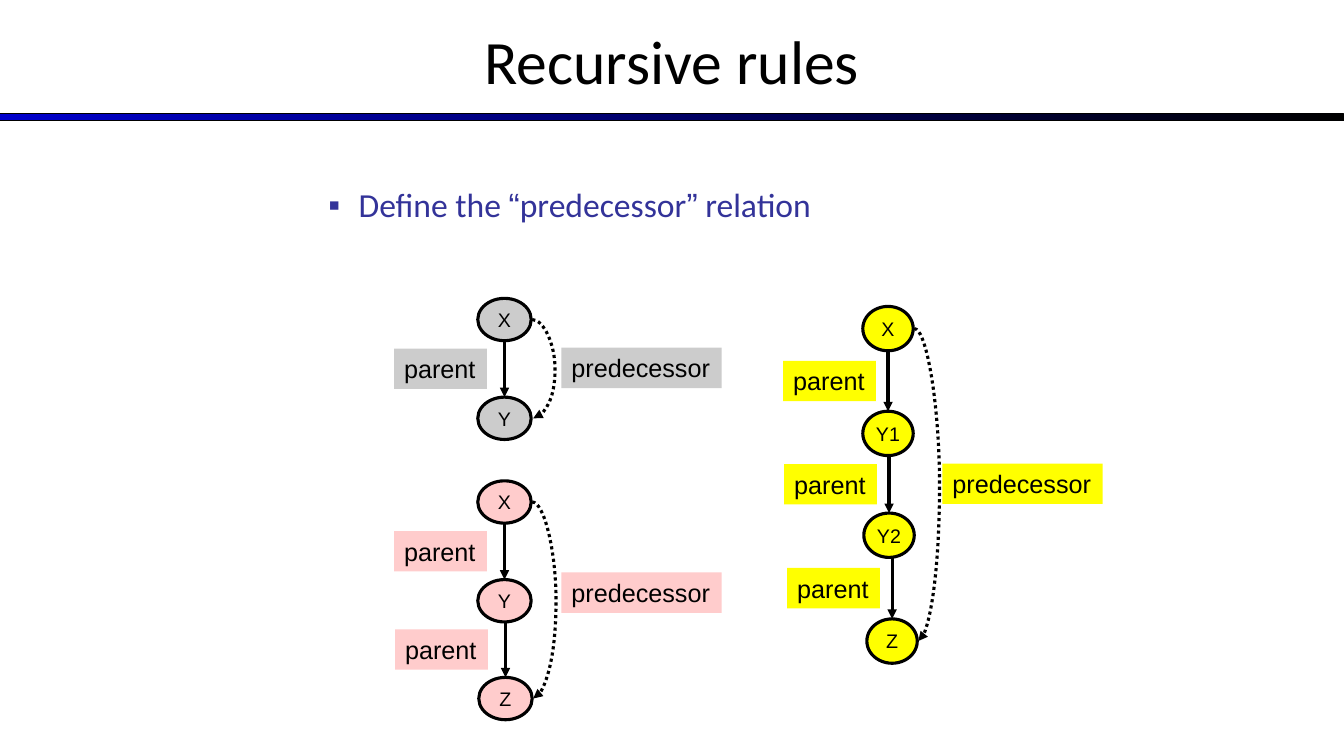
from lxml import etree
from pptx import Presentation
from pptx import util as u
from pptx.dml.color import RGBColor
from pptx.enum import dml, shapes, text
from pptx.oxml import ns

# The grid has square cells, ten to the inch
COLUMNS, ROWS = 133.33, 75
COLORS = {
    "ink": "000000", "bullet": "333399", "bar": "0000CC",
    "gray": "CCCCCC", "pink": "FFCCCC", "yellow": "FFFF00",
}
LABEL_HEIGHT = 4
LABEL_WIDTHS = {"parent": 9.2, "predecessor": 15.9}

# Nodes are (name, left, top), and "predecessor" is the place of that label
CHAINS = [
    {"color": "gray", "size": (5.3, 4.2), "label_shift": 8.3, "bend": 2.3,
     "nodes": [("X", 47.4, 29.6), ("Y", 47.4, 39.4)],
     "predecessor": (55.7, 34.5)},
    {"color": "pink", "size": (5.3, 4.2), "label_shift": 8.3, "bend": 2.4,
     "nodes": [("X", 47.4, 47.7), ("Y", 47.4, 57.5), ("Z", 47.5, 67.2)],
     "predecessor": (55.7, 56.8)},
    {"color": "yellow", "size": (5, 4.4), "label_shift": 7.9, "bend": 2.5,
     "nodes": [("X", 85.6, 30.4), ("Y1", 85.6, 40.8),
               ("Y2", 85.7, 50.9), ("Z", 86, 61.4)],
     "predecessor": (93.5, 46)},
]


def cells(*counts):
    return [u.Inches(count / 10) for count in counts]


def rgb(name):
    return RGBColor.from_string(COLORS[name])


def style(span, size, color="ink", font="Arial"):
    span.font.size = u.Pt(size)
    span.font.name = font
    span.font.color.rgb = rgb(color)


def add_child(parent, tag, **attributes):
    return etree.SubElement(parent, ns.qn(tag), attributes)


def add_box(owner, kind, place, color, words, size):
    box = owner.shapes.add_shape(kind, *cells(*place))
    box.shadow.inherit = False
    box.fill.solid()
    box.fill.fore_color.rgb = rgb(color)
    box.line.fill.background()
    frame = box.text_frame
    frame.word_wrap = False
    frame.text = words
    style(frame.paragraphs[0].runs[0], size)
    return box


def add_node(owner, name, left, top, chain):
    node = add_box(owner, shapes.MSO_SHAPE.OVAL, (left, top, *chain["size"]),
                   chain["color"], name, 14)
    node.line.color.rgb = rgb("ink")
    node.line.width = u.Pt(2.25)
    node.text_frame.vertical_anchor = text.MSO_ANCHOR.MIDDLE
    node.text_frame.paragraphs[0].alignment = text.PP_ALIGN.CENTER


def add_label(owner, words, left, top, color):
    label = add_box(owner, shapes.MSO_SHAPE.RECTANGLE,
                    (left, top, LABEL_WIDTHS[words], LABEL_HEIGHT),
                    color, words, 18)
    label.text_frame.vertical_anchor = text.MSO_ANCHOR.TOP
    label.text_frame.paragraphs[0].alignment = text.PP_ALIGN.LEFT


def add_arrow(owner, start, end, bend=0):
    """A straight arrow, or a dotted one that bows out by `bend` columns."""
    kind = shapes.MSO_CONNECTOR.CURVE if bend else shapes.MSO_CONNECTOR.STRAIGHT
    arrow = owner.shapes.add_connector(kind, *cells(*start, *end))
    arrow.line.color.rgb = rgb("ink")
    arrow.line.width = u.Pt(2.25)
    properties = arrow._element.spPr
    if bend:
        arrow.line.dash_style = dml.MSO_LINE.ROUND_DOT
        share = round(bend / (end[0] - start[0]) * 100000)
        guides = properties.find(ns.qn("a:prstGeom")).get_or_add_avLst()
        add_child(guides, "a:gd", name="adj1", fmla=f"val {share}")
    add_child(properties.find(ns.qn("a:ln")), "a:tailEnd", type="triangle")
    add_child(properties, "a:effectLst")


def add_chain(page, chain):
    group = page.shapes.add_group_shape()
    width, height = chain["size"]
    nodes = chain["nodes"]

    # Parent steps
    for (_, _, top), (_, next_left, next_top) in zip(nodes, nodes[1:]):
        middle = next_left + width / 2
        add_arrow(group, (middle, top + height), (middle, next_top))
        label_top = (top + next_top + height - LABEL_HEIGHT) / 2
        add_label(group, "parent", next_left - chain["label_shift"],
                  label_top, chain["color"])
    for name, left, top in nodes:
        add_node(group, name, left, top, chain)

    # Predecessor arc from the first node to the last
    (_, first_left, first_top), (_, last_left, last_top) = nodes[0], nodes[-1]
    start = (first_left + width + 0.1, first_top + height / 2)
    end = (max(last_left + width, first_left + width + 0.1) + 0.1,
           last_top + height / 2)
    add_arrow(group, start, end, chain["bend"])
    add_label(group, "predecessor", *chain["predecessor"], chain["color"])


def add_bar(page):
    bar = page.shapes.add_shape(shapes.MSO_SHAPE.RECTANGLE,
                                *cells(0, 11.3, COLUMNS, 0.7))
    bar.shadow.inherit = False
    bar.fill.gradient()
    bar.fill.gradient_angle = 0
    for stop, color, position in zip(bar.fill.gradient_stops,
                                     ("bar", "ink"), (0, 1)):
        stop.color.rgb = rgb(color)
        stop.position = position
    bar.line.color.rgb = rgb("ink")
    bar.line.width = u.Pt(0.75)


def add_title(page, words):
    title = page.shapes.title
    title.left, title.top, title.width, title.height = cells(
        0, -0.3, COLUMNS, 12.5)
    title.text_frame.text = words
    title.text_frame.vertical_anchor = text.MSO_ANCHOR.MIDDLE
    para = title.text_frame.paragraphs[0]
    para.alignment = text.PP_ALIGN.CENTER
    style(para.runs[0], 44, font="Calibri")


def add_bullet(page):
    box = page.shapes.add_textbox(*cells(31.6, 17.8, 80, 55.1))
    box.text_frame.word_wrap = True
    para = box.text_frame.paragraphs[0]
    para.space_before = u.Pt(4.8)
    for words in ("Define the ", "“", "predecessor", "”", " relation"):
        span = para.add_run()
        span.text = words
        style(span, 24, "bullet", "Arial" if words in "“”" else "Calibri")
    properties = para._p.get_or_add_pPr()
    indent = u.Inches(0.3)
    properties.set("marL", str(indent))
    properties.set("indent", str(-indent))
    add_child(add_child(properties, "a:buClr"), "a:srgbClr",
              val=COLORS["bullet"])
    add_child(properties, "a:buFont", typeface="Arial")
    add_child(properties, "a:buChar", char="▪")


def main():
    deck = Presentation()
    deck.slide_width, deck.slide_height = cells(COLUMNS, ROWS)
    page = deck.slides.add_slide(deck.slide_layouts[5])
    add_bar(page)
    add_title(page, "Recursive rules")
    add_bullet(page)
    for chain in CHAINS:
        add_chain(page, chain)
    deck.save("out.pptx")


if __name__ == "__main__":
    main()
